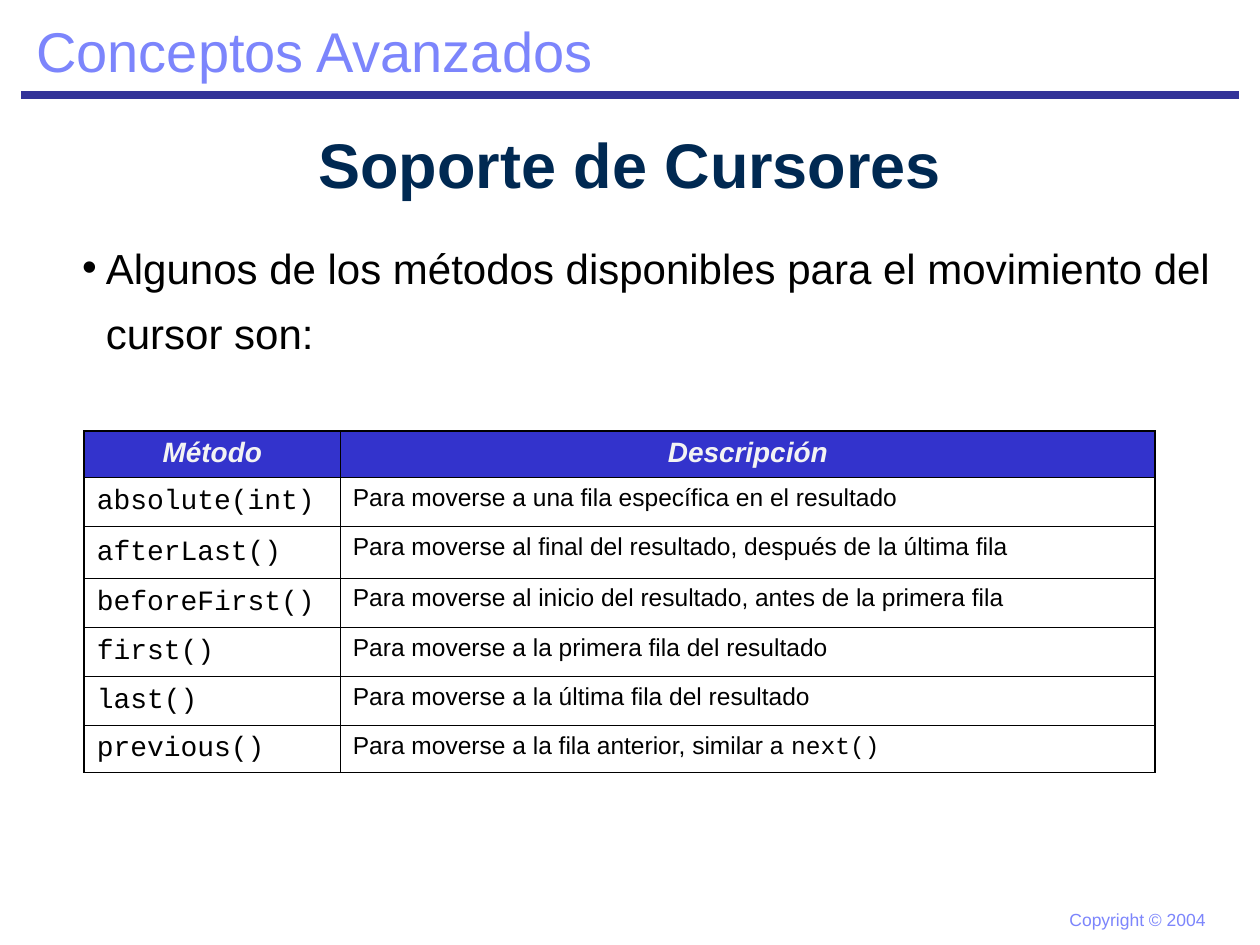
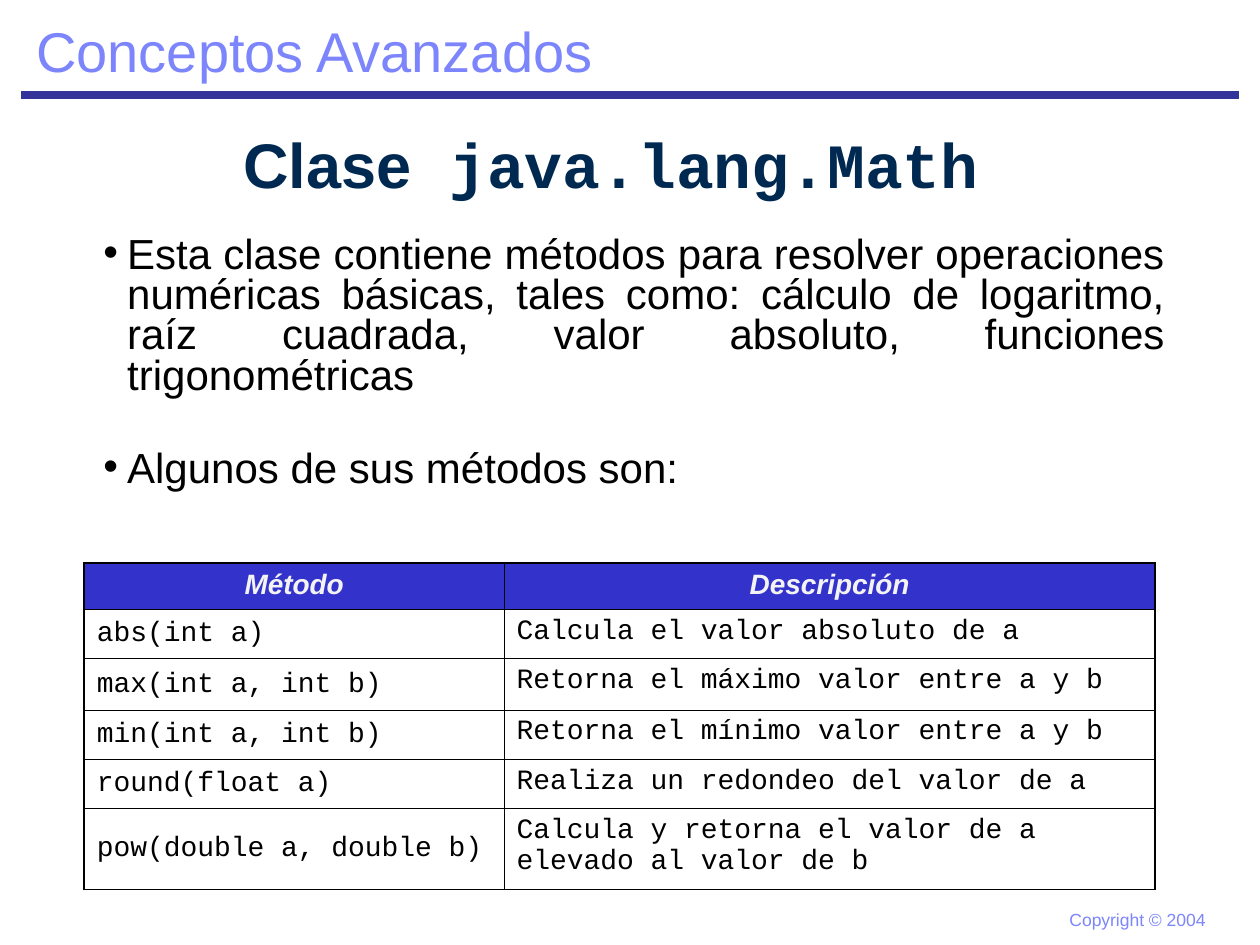
from dataclasses import dataclass

from lxml.etree import SubElement
from pptx import Presentation
from pptx.dml.color import RGBColor
from pptx.enum.shapes import MSO_CONNECTOR
from pptx.enum.text import MSO_ANCHOR, MSO_AUTO_SIZE, PP_ALIGN
from pptx.oxml import parse_xml
from pptx.oxml.ns import nsdecls, qn
from pptx.util import Cm, Pt


@dataclass(frozen=True)
class Theme:
    """Colours, fonts and type sizes of the deck."""
    sans: str = "Arial"
    mono: str = "Courier New"
    ink: str = "000000"
    pale: str = "7C85FC"
    rule: str = "333399"
    navy: str = "002952"
    head: str = "3333CC"
    light: str = "F3F3F3"
    brand: int = 32
    title: int = 36
    body: int = 24
    cell: int = 16
    small: int = 14
    foot: int = 10
    thick: float = 1.08
    thin: float = 0.45


THEME = Theme()


def place(shape, box):
    """Move a shape to a box of left, top, width and height in cm."""
    shape.left, shape.top, shape.width, shape.height = map(Cm, box)


def write(para, text, size, color, bold=False, italic=False):
    """Fill a paragraph; parts between backticks are monospaced."""
    parts = text.split("`")
    para.text = parts[0]
    for part in parts[1:]:
        para.add_run().text = part
    fonts = [THEME.sans, THEME.mono]
    names = [fonts[n % 2] for n, part in enumerate(parts) if part]
    runs = [run for run in para.runs if run.text]
    for run, name in zip(runs, names):
        font = run.font
        font.name, font.size = name, Pt(size)
        font.bold, font.italic = bold, italic
        font.color.rgb = RGBColor.from_string(color)


def label(shapes, box, text, size):
    """Add a one-line pale label."""
    shape = shapes.add_textbox(*map(Cm, box))
    shape.text_frame.word_wrap = False
    write(shape.text_frame.paragraphs[0], text, size, THEME.pale)
    return shape


def frame(deck, slide):
    """Build the rule, section name and footer, and move them to the master."""
    shapes = slide.shapes
    rule = shapes.add_connector(MSO_CONNECTOR.STRAIGHT, Cm(0.43), Cm(1.91), Cm(24.97), Cm(1.91))
    rule.line.color.rgb = RGBColor.from_string(THEME.rule)
    rule.line.width = Pt(4.5)
    SubElement(rule.element.spPr, qn("a:effectLst"))
    name = label(shapes, (0.48, 0.2, 11.81, 1.63), "Conceptos Avanzados", THEME.brand)
    foot = label(shapes, (21.31, 18.21, 3.25, 0.69), "Copyright © 2004", THEME.foot)
    for num, shape in enumerate((rule, name, foot), 20):
        shape.element.xpath(".//p:cNvPr")[0].set("id", str(num))
        deck.slide_master.shapes.element.append(shape.element)


def title(slide, text):
    """Fill the title placeholder."""
    shape = slide.shapes.title
    place(shape, (0, 2.34, 25.4, 1.91))
    text_frame = shape.text_frame
    text_frame.auto_size = MSO_AUTO_SIZE.NONE
    text_frame.vertical_anchor = MSO_ANCHOR.MIDDLE
    para = text_frame.paragraphs[0]
    para.alignment = PP_ALIGN.CENTER
    write(para, text, THEME.title, THEME.navy, bold=True)


def bullets(slide, box, items, pitch, align):
    """Fill the body placeholder with a bulleted list."""
    shape = slide.placeholders[1]
    place(shape, box)
    text_frame = shape.text_frame
    text_frame.auto_size = MSO_AUTO_SIZE.NONE
    text_frame.vertical_anchor = MSO_ANCHOR.TOP
    text_frame.text = "\n".join(items)
    for num, (para, item) in enumerate(zip(text_frame.paragraphs, items)):
        props = para._p.get_or_add_pPr()
        props.set("marL", str(Cm(1.24)))
        props.set("indent", str(Cm(-0.48)))
        SubElement(props, qn("a:buChar"), char="•")
        para.alignment, para.line_spacing = align, pitch
        para.space_before = Pt(30 if num else 0)
        write(para, item, THEME.body, THEME.ink)


def edge(cell, widths):
    """Draw the left, right, top and bottom borders of a cell."""
    props = cell._tc.get_or_add_tcPr()
    for num, (side, width) in enumerate(zip("LRTB", widths)):
        props.insert(num, parse_xml(
            f'<a:ln{side} {nsdecls("a")} w="{Pt(width)}"><a:solidFill>'
            f'<a:srgbClr val="{THEME.ink}"/></a:solidFill></a:ln{side}>'))


def grid(slide, left, top, cols, tall, rows, size):
    """Add a table of methods under a coloured head row."""
    rows = [("Método", "Descripción"), *rows]
    table = slide.shapes.add_table(
        len(rows), len(cols), Cm(left), Cm(top), Cm(sum(cols)), Cm(sum(tall))).table
    table.first_row = table.horz_banding = False
    for col, width in zip(table.columns, cols):
        col.width = Cm(width)
    for row, height in zip(table.rows, tall):
        row.height = Cm(height)
    for r, row in enumerate(rows):
        for c, text in enumerate(row):
            cell = table.cell(r, c)
            para = cell.text_frame.paragraphs[0]
            if r == 0:
                cell.fill.solid()
                cell.fill.fore_color.rgb = RGBColor.from_string(THEME.head)
                para.alignment = PP_ALIGN.CENTER
                write(para, text, THEME.cell, THEME.light, bold=True, italic=True)
            else:
                cell.fill.background()
                cell.vertical_anchor = MSO_ANCHOR.TOP if c else MSO_ANCHOR.MIDDLE
                write(para, text, size if c else THEME.cell, THEME.ink)
            outer = (c == 0, c == len(cols) - 1, r == 0, r == len(rows) - 1)
            edge(cell, [THEME.thick if out else THEME.thin for out in outer])


def cursors(slide):
    """Build the slide on cursor support."""
    title(slide, "Soporte de Cursores")
    bullets(slide, (0.64, 4.45, 24.33, 2.97),
            ["Algunos de los métodos disponibles para el movimiento del cursor son:"],
            1.3, PP_ALIGN.LEFT)
    rows = [
        ("`absolute(int)", "Para moverse a una fila específica en el resultado"),
        ("`afterLast()", "Para moverse al final del resultado, después de la última fila"),
        ("`beforeFirst()", "Para moverse al inicio del resultado, antes de la primera fila"),
        ("`first()", "Para moverse a la primera fila del resultado"),
        ("`last()", "Para moverse a la última fila del resultado"),
        ("`previous()", "Para moverse a la fila anterior, similar a `next()"),
    ]
    tall = [0.94, 0.99, 1.04, 0.99, 0.99, 0.99, 0.94]
    grid(slide, 1.7, 8.69, (5.16, 16.43), tall, rows, THEME.small)


def maths(slide):
    """Build the slide on the Math class."""
    title(slide, "Clase` java.lang.Math ")
    bullets(slide, (1.07, 4.65, 22.66, 5.28),
            ["Esta clase contiene métodos para resolver operaciones numéricas básicas, "
             "tales como: cálculo de logaritmo, raíz cuadrada, valor absoluto, "
             "funciones trigonométricas",
             "Algunos de sus métodos son:"],
            0.8, PP_ALIGN.JUSTIFY)
    rows = [
        ("`abs(int a)", "`Calcula el valor absoluto de a"),
        ("`max(int a, int b)", "`Retorna el máximo valor entre a y b"),
        ("`min(int a, int b)", "`Retorna el mínimo valor entre a y b"),
        ("`round(float a)", "`Realiza un redondeo del valor de a"),
        ("`pow(double a, double b)", "`Calcula y retorna el valor de a elevado al valor de b"),
    ]
    tall = [0.94, 0.99, 1.04, 0.99, 0.99, 1.63]
    grid(slide, 1.7, 11.35, (8.46, 13.13), tall, rows, THEME.cell)


def main():
    """Build and save the deck."""
    deck = Presentation()
    deck.slide_width, deck.slide_height = Cm(25.4), Cm(19.05)
    layout = deck.slide_layouts[1]
    first, second = [deck.slides.add_slide(layout) for _ in range(2)]
    frame(deck, first)
    cursors(first)
    maths(second)
    deck.save("out.pptx")


if __name__ == "__main__":
    main()
